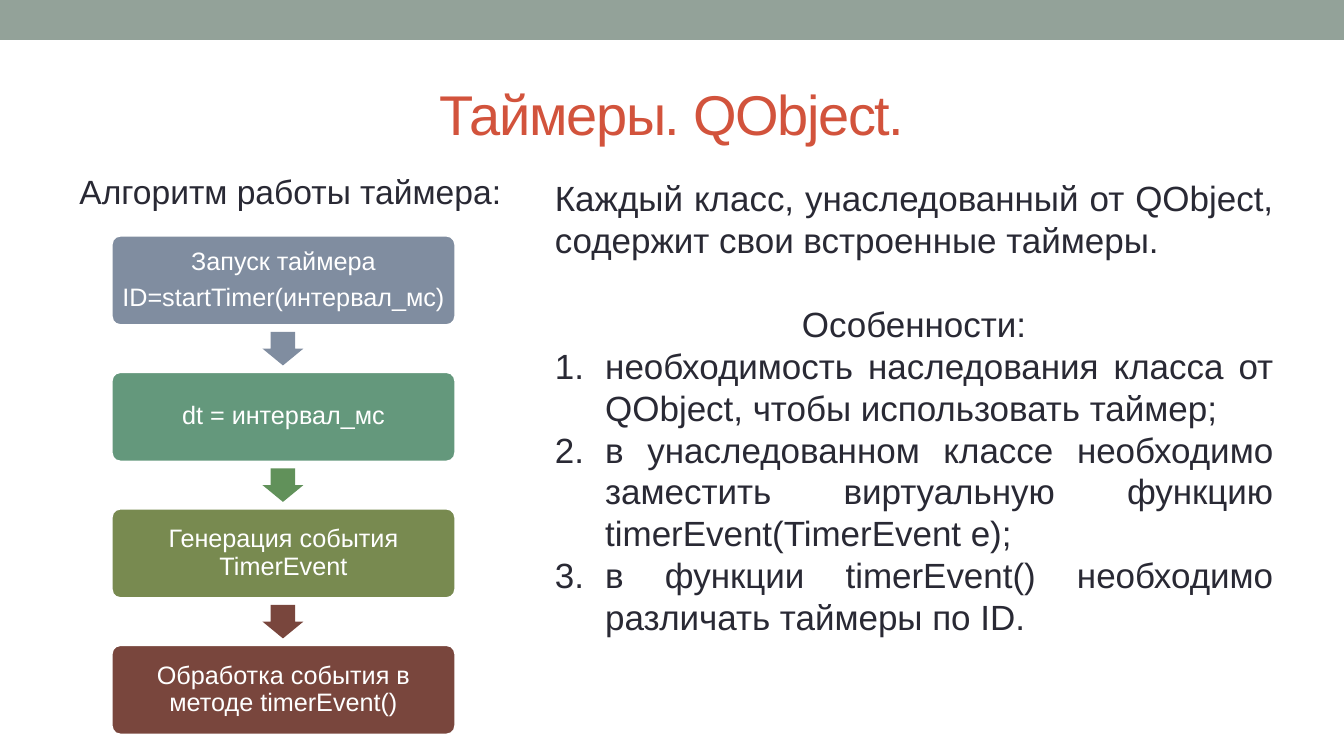
from lxml import etree
from pptx import Presentation
from pptx.dml.color import RGBColor
from pptx.enum.shapes import MSO_SHAPE
from pptx.enum.text import MSO_ANCHOR, PP_ALIGN
from pptx.oxml.ns import qn
from pptx.util import Pt

PX = 9525  # EMU in one px
RECTANGLE, ROUNDED = MSO_SHAPE.RECTANGLE, MSO_SHAPE.ROUNDED_RECTANGLE
DOWN_ARROW = MSO_SHAPE.DOWN_ARROW
MIDDLE = MSO_ANCHOR.MIDDLE
CENTER, JUSTIFY = PP_ALIGN.CENTER, PP_ALIGN.JUSTIFY
FONT = "Arial"
COLORS = {
    "bar": "93A299", "title": "D2533C", "text": "292934", "white": "FFFFFF",
    "start": "808DA0", "wait": "64987C", "wait_arrow": "61915A",
    "event": "788A50", "handler": "79463D",
}

# Flow steps: lines of text, box colour, colour of the arrow below
STEPS = [
    (["Запуск таймера", "ID=startTimer(интервал_мс)"], "start", "start"),
    (["dt = интервал_мс"], "wait", "wait_arrow"),
    (["Генерация события TimerEvent"], "event", "handler"),
    (["Обработка события в методе timerEvent()"], "handler", None),
]
STEP_LEFT, STEP_TOP, STEP_WIDTH, STEP_HEIGHT, STEP_PITCH = 106, 224, 328, 86, 130
ARROW_WIDTH, ARROW_HEIGHT = 39, 32

INTRO = "Каждый класс, унаследованный от QObject, содержит свои встроенные таймеры."
FEATURES = [
    "необходимость наследования класса от QObject, чтобы использовать таймер;",
    "в унаследованном классе необходимо заместить виртуальную функцию "
    "timerEvent(TimerEvent e);",
    "в функции timerEvent() необходимо различать таймеры по ID.",
]


def color(name):
    return RGBColor.from_string(COLORS[name])


def box(left, top, width, height):
    return [value * PX for value in (left, top, width, height)]


def add_paragraph(frame, text, size, color_name, alignment):
    """Write into the frame's empty first paragraph, or append a new one."""
    paragraph = frame.paragraphs[0] if not frame.text else frame.add_paragraph()
    paragraph.text = text
    paragraph.alignment = alignment
    font = paragraph.font
    font.name, font.size, font.color.rgb = FONT, Pt(size), color(color_name)
    return paragraph


def add_filled_shape(slide, kind, place, fill, adjustments=()):
    shape = slide.shapes.add_shape(kind, *box(*place))
    shape.shadow.inherit = False
    shape.fill.solid()
    shape.fill.fore_color.rgb = color(fill)
    shape.line.fill.background()
    for index, value in enumerate(adjustments):
        shape.adjustments[index] = value
    return shape


def add_text_frame(slide, place):
    frame = slide.shapes.add_textbox(*box(*place)).text_frame
    frame.word_wrap = True
    return frame


def set_title(slide, text):
    title = slide.shapes.title
    title.left, title.top, title.width, title.height = box(64, 56, 1152, 104)
    title.text_frame.vertical_anchor = MIDDLE
    paragraph = add_paragraph(title.text_frame, text, 40, "title", CENTER)
    paragraph.runs[0].font._element.set("spc", "-100")


def number_paragraph(paragraph, indent):
    properties = paragraph._p.get_or_add_pPr()
    properties.set("marL", str(indent * PX))
    properties.set("indent", str(-indent * PX))
    bullet = etree.SubElement(properties, qn("a:buAutoNum"))
    bullet.set("type", "arabicPeriod")
    # Numbering must precede the default run properties
    defaults = properties.find(qn("a:defRPr"))
    if defaults is not None:
        defaults.addprevious(bullet)


def add_step(slide, top, lines, fill):
    place = (STEP_LEFT, top, STEP_WIDTH, STEP_HEIGHT)
    shape = add_filled_shape(slide, ROUNDED, place, fill, [0.1])
    shape.line.color.rgb = color("white")
    shape.line.width = Pt(2)
    frame = shape.text_frame
    frame.word_wrap = True
    frame.vertical_anchor = MIDDLE
    frame.margin_left = frame.margin_right = 6 * PX
    frame.margin_top = frame.margin_bottom = 6 * PX
    for line in lines:
        paragraph = add_paragraph(frame, line, 18, "white", CENTER)
        paragraph.line_spacing = 0.9
        paragraph.space_after = Pt(6.3)


def add_flow(slide):
    gap = STEP_PITCH - STEP_HEIGHT
    arrow_left = STEP_LEFT + (STEP_WIDTH - ARROW_WIDTH) // 2
    for index, (lines, fill, arrow_fill) in enumerate(STEPS):
        top = STEP_TOP + index * STEP_PITCH
        add_step(slide, top, lines, fill)
        if arrow_fill:
            arrow_top = top + STEP_HEIGHT + (gap - ARROW_HEIGHT) // 2
            place = (arrow_left, arrow_top, ARROW_WIDTH, ARROW_HEIGHT)
            add_filled_shape(slide, DOWN_ARROW, place, arrow_fill, [0.6, 0.5])


def add_description(slide):
    frame = add_text_frame(slide, (519, 163, 703, 454))
    add_paragraph(frame, INTRO, 25, "text", JUSTIFY)
    heading = add_paragraph(frame, "Особенности:", 25, "text", CENTER)
    heading.space_before = Pt(30)
    for feature in FEATURES:
        paragraph = add_paragraph(frame, feature, 25, "text", JUSTIFY)
        number_paragraph(paragraph, 48)


def main():
    presentation = Presentation()
    presentation.slide_width, presentation.slide_height = 1280 * PX, 720 * PX
    slide = presentation.slides.add_slide(presentation.slide_layouts[5])

    # Top bar and title
    add_filled_shape(slide, RECTANGLE, (0, 0, 1280, 38), "bar")
    set_title(slide, "Таймеры. QObject.")

    # Left column: timer algorithm
    caption = add_text_frame(slide, (65, 158, 423, 56))
    add_paragraph(caption, "Алгоритм работы таймера:", 24, "text", CENTER)
    add_flow(slide)

    # Right column: description and numbered features
    add_description(slide)
    presentation.save("out.pptx")


if __name__ == "__main__":
    main()
